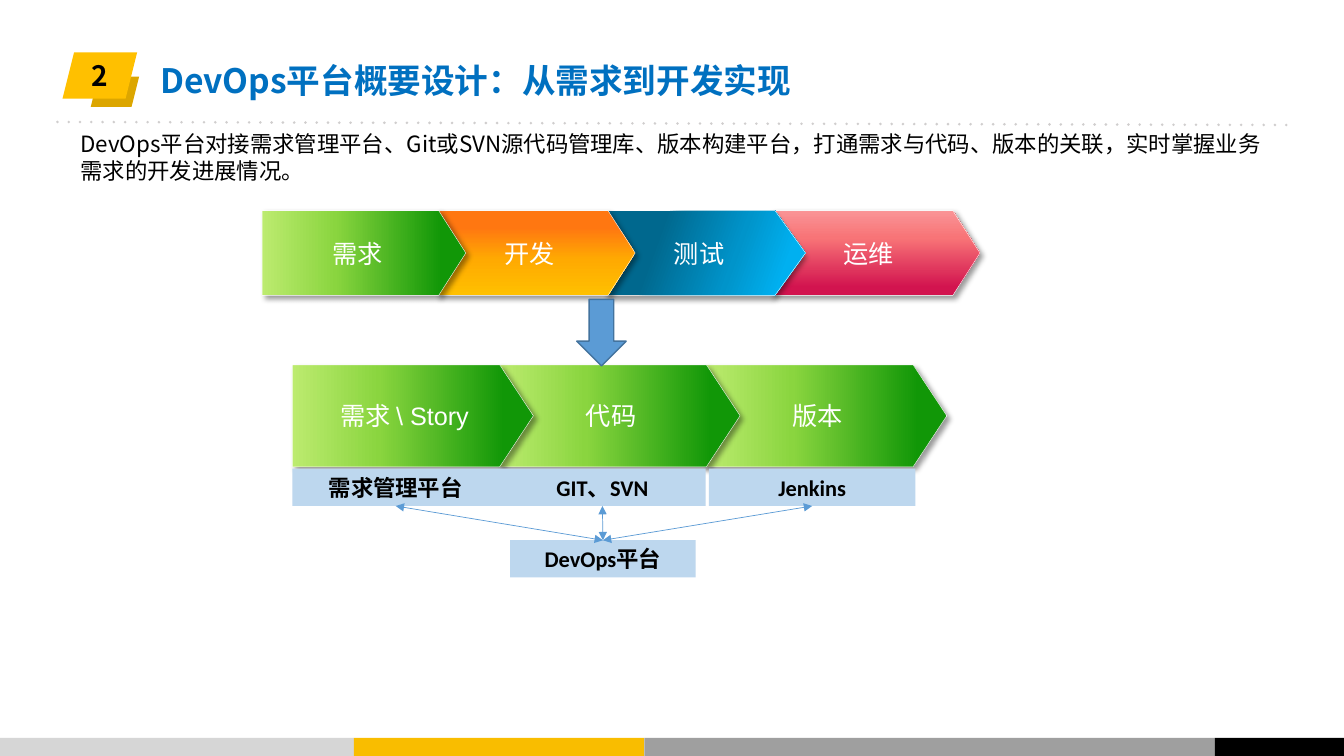
from lxml.etree import SubElement
from pptx import Presentation
from pptx.dml.color import RGBColor
from pptx.enum.shapes import MSO_CONNECTOR, MSO_SHAPE
from pptx.enum.text import MSO_ANCHOR, PP_ALIGN
from pptx.oxml import parse_xml
from pptx.oxml.ns import nsdecls, qn
from pptx.util import Inches, Pt

BLACK = RGBColor(0x00, 0x00, 0x00)
WHITE = RGBColor(0xFF, 0xFF, 0xFF)
TITLE_BLUE = RGBColor(0x00, 0x70, 0xC0)
GOLD = RGBColor(0xFF, 0xC0, 0x00)
DARK_GOLD = RGBColor(0xDC, 0xA6, 0x00)
RULE_GRAY = RGBColor(0xD0, 0xCE, 0xCE)
PALE_BLUE = RGBColor(0xBD, 0xD7, 0xEE)
ARROW_BLUE = RGBColor(0x5B, 0x9B, 0xD5)
ARROW_EDGE = RGBColor(0x43, 0x73, 0x9E)
FOOTER_LIGHT = RGBColor(0xD6, 0xD6, 0xD6)
FOOTER_GOLD = RGBColor(0xF9, 0xBD, 0x00)
FOOTER_GRAY = RGBColor(0x9F, 0x9F, 0x9F)

CJK_FONT = "Noto Sans CJK SC"

# Gradients: angle in degrees, then (position in percent, colour)
GREEN = (180, [(12, RGBColor(0x11, 0x97, 0x07)), (64, RGBColor(0x8A, 0xD5, 0x3F)),
               (100, RGBColor(0xBC, 0xEB, 0x6F))])
ORANGE = (90, [(20, RGBColor(0xFF, 0x77, 0x11)), (58, RGBColor(0xFF, 0xAA, 0x01)),
               (100, GOLD)])
BLUE = (20, [(26, RGBColor(0x00, 0x68, 0x8E)), (63, RGBColor(0x00, 0x94, 0xCA)),
             (87, RGBColor(0x00, 0xB0, 0xF0))])
RED = (270, [(10, RGBColor(0xD2, 0x14, 0x4F)), (68, RGBColor(0xF8, 0x74, 0x77)),
             (100, RGBColor(0xFA, 0x94, 0x96))])


def write_text(shape, text, size=16, font=CJK_FONT, color=BLACK, bold=False,
               align=PP_ALIGN.LEFT, anchor=MSO_ANCHOR.TOP, spacing=None):
    frame = shape.text_frame
    frame.word_wrap = True
    frame.vertical_anchor = anchor
    paragraph = frame.paragraphs[0]
    paragraph.alignment = align
    paragraph.line_spacing = spacing
    run = paragraph.add_run()
    run.text = text
    run.font.size = Pt(size)
    run.font.name = font
    run.font.bold = bold
    run.font.color.rgb = color
    SubElement(run.font._element, qn("a:ea")).set("typeface", CJK_FONT)


def add_block(slide, kind, left, top, width, height, fill=None):
    shape = slide.shapes.add_shape(kind, Inches(left), Inches(top), Inches(width), Inches(height))
    shape.shadow.inherit = False
    shape.line.fill.background()
    if fill is not None:
        shape.fill.solid()
        shape.fill.fore_color.rgb = fill
    return shape


def add_line(slide, start, end, color, width):
    points = [Inches(value) for value in (*start, *end)]
    line = slide.shapes.add_connector(MSO_CONNECTOR.STRAIGHT, *points)
    line.line.color.rgb = color
    line.line.width = Pt(width)
    SubElement(line._element.spPr, qn("a:effectLst"))
    return line


def add_stage(slide, text, left, top, width, height, gradient, point, shadow_angle=45):
    """Gradient pentagon with a white hairline and a soft shadow."""
    stage = add_block(slide, MSO_SHAPE.PENTAGON, left, top, width, height)
    stage.adjustments[0] = point
    angle, stops = gradient
    stop_xml = "".join(f'<a:gs pos="{position * 1000}"><a:srgbClr val="{color}"/></a:gs>'
                       for position, color in stops)
    properties = stage._element.spPr
    properties.find(qn("a:prstGeom")).addnext(parse_xml(
        f'<a:gradFill {nsdecls("a")} rotWithShape="1"><a:gsLst>{stop_xml}</a:gsLst>'
        f'<a:lin ang="{angle * 60000}" scaled="0"/></a:gradFill>'))
    stage.line.color.rgb = WHITE
    stage.line.width = Pt(0.25)
    properties.find(qn("a:effectLst")).append(parse_xml(
        f'<a:outerShdw {nsdecls("a")} blurRad="{Pt(4)}" dist="{Pt(3)}" '
        f'dir="{shadow_angle * 60000}" algn="tl" rotWithShape="0">'
        '<a:srgbClr val="000000"><a:alpha val="40000"/></a:srgbClr></a:outerShdw>'))
    write_text(stage, text, size=18, font="Arial", color=WHITE,
               align=PP_ALIGN.CENTER, anchor=MSO_ANCHOR.MIDDLE)


def add_label(slide, text, left, top, width):
    label = add_block(slide, MSO_SHAPE.RECTANGLE, left, top, width, 0.37, PALE_BLUE)
    write_text(label, text, font="Calibri", bold=True, align=PP_ALIGN.CENTER)
    return label


def add_footer(slide, top, height):
    left = 0
    for width, color in [(3.51, FOOTER_LIGHT), (2.88, FOOTER_GOLD),
                         (5.66, FOOTER_GRAY), (1.28, BLACK)]:
        add_block(slide, MSO_SHAPE.RECTANGLE, left, top, width, height, color)
        left += width


def add_header(slide, left, top, number, title):
    # Dotted rule
    rule = add_line(slide, (left - 0.05, top + 0.69), (left + 12.16, top + 0.72), RULE_GRAY, 2)
    outline = rule.line._get_or_add_ln()
    outline.set("cap", "rnd")
    SubElement(outline, qn("a:prstDash")).set("val", "dot")
    # Number badge
    add_block(slide, MSO_SHAPE.PARALLELOGRAM, left + 0.28, top + 0.24, 0.48, 0.3, DARK_GOLD)
    badge = add_block(slide, MSO_SHAPE.PARALLELOGRAM, left, top, 0.74, 0.46, GOLD)
    badge.text_frame.margin_left = badge.text_frame.margin_right = 0
    write_text(badge, number, size=20, bold=True, align=PP_ALIGN.CENTER, anchor=MSO_ANCHOR.MIDDLE)
    # Title
    box = slide.shapes.add_textbox(Inches(left + 0.87), Inches(top + 0.03), Inches(7.73), Inches(0.6))
    write_text(box, title, size=24, color=TITLE_BLUE, bold=True)


def add_summary(slide, left, top, width, height, text):
    box = slide.shapes.add_textbox(Inches(left), Inches(top), Inches(width), Inches(height))
    write_text(box, text, spacing=1.0)


def add_lifecycle(slide, top, height):
    # Right to left, so that each stage overlaps the next one
    for text, left, width, gradient, point, shadow_angle in [
            ("运维", 7.65, 2.07, RED, 0.32, 45), ("测试", 6.03, 1.96, BLUE, 0.36, 90),
            ("开发", 4.34, 1.96, ORANGE, 0.32, 45), ("需求", 2.6, 2.02, GREEN, 0.32, 45)]:
        add_stage(slide, text, left, top, width, height, gradient, point, shadow_angle)


def add_tool_chain(slide, left, top):
    pitch = 2.05
    # Stages, from right to left
    for index, text in reversed(list(enumerate(["需求 \\ Story", "代码", "版本"]))):
        add_stage(slide, text, left + index * pitch, top, 2.39, 1.01, GREEN, 0.33)
    # Platform and the tools linked to it
    platform = add_label(slide, "DevOps平台", left + 2.16, top + 1.74, 1.84)
    for text, offset in [("需求管理平台", 0), ("GIT、SVN", pitch), ("Jenkins", 2 * pitch + 0.03)]:
        tool = add_label(slide, text, left + offset, top + 1.03, pitch)
        link = add_line(slide, (0, 0), (1, 1), ARROW_BLUE, 0.5)
        link.begin_connect(tool, 2)
        link.end_connect(platform, 0)
        for end in ("a:headEnd", "a:tailEnd"):
            SubElement(link.line._get_or_add_ln(), qn(end)).set("type", "triangle")


def add_down_arrow(slide, left, top, width, height):
    arrow = add_block(slide, MSO_SHAPE.DOWN_ARROW, left, top, width, height, ARROW_BLUE)
    arrow.line.color.rgb = ARROW_EDGE
    arrow.line.width = Pt(1)


def main():
    presentation = Presentation()
    presentation.slide_width = Inches(13.33)
    presentation.slide_height = Inches(7.5)
    slide = presentation.slides.add_slide(presentation.slide_layouts[6])
    add_footer(slide, 7.32, 0.19)
    add_header(slide, 0.62, 0.52, "2", "DevOps平台概要设计：从需求到开发实现")
    add_summary(slide, 0.7, 1.24, 12.02, 0.88,
                "DevOps平台对接需求管理平台、Git或SVN源代码管理库、版本构建平台，"
                "打通需求与代码、版本的关联，实时掌握业务需求的开发进展情况。")
    add_lifecycle(slide, 2.09, 0.84)
    add_tool_chain(slide, 2.9, 3.62)
    add_down_arrow(slide, 5.72, 2.97, 0.49, 0.66)
    presentation.save("out.pptx")


if __name__ == "__main__":
    main()
